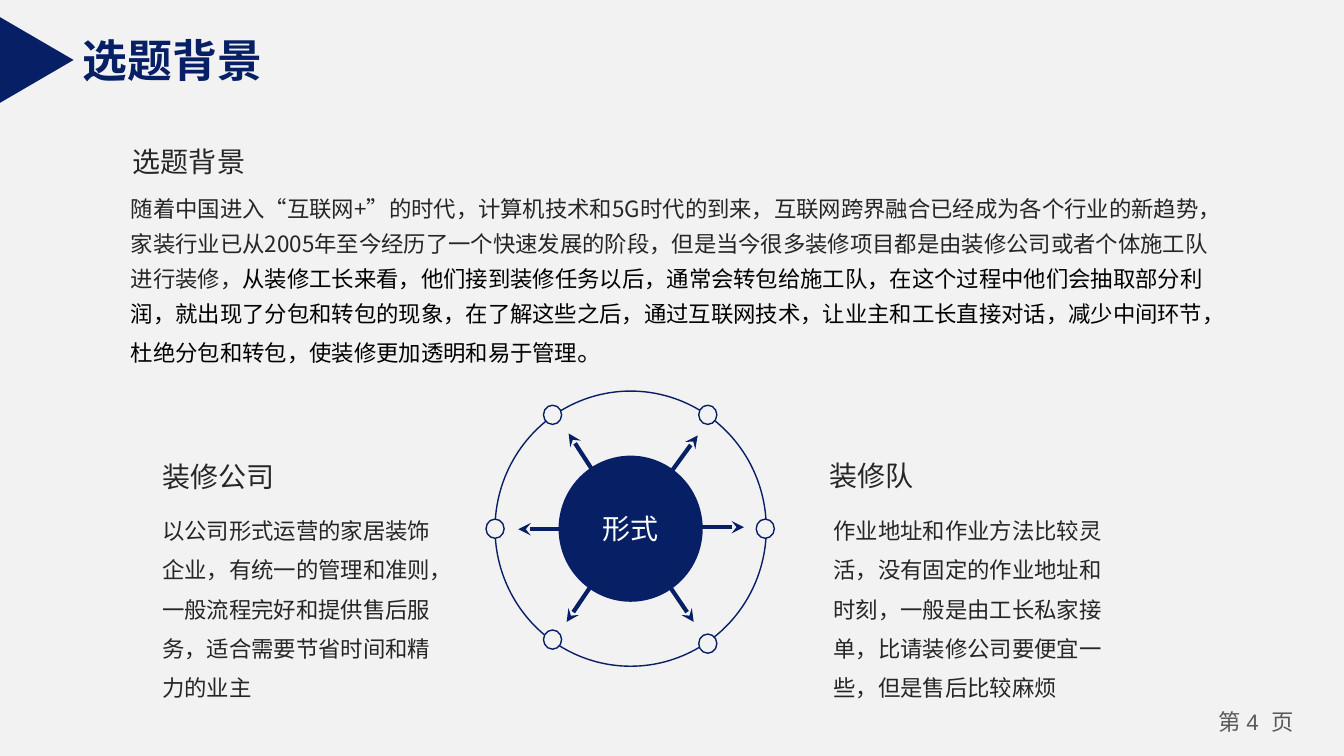
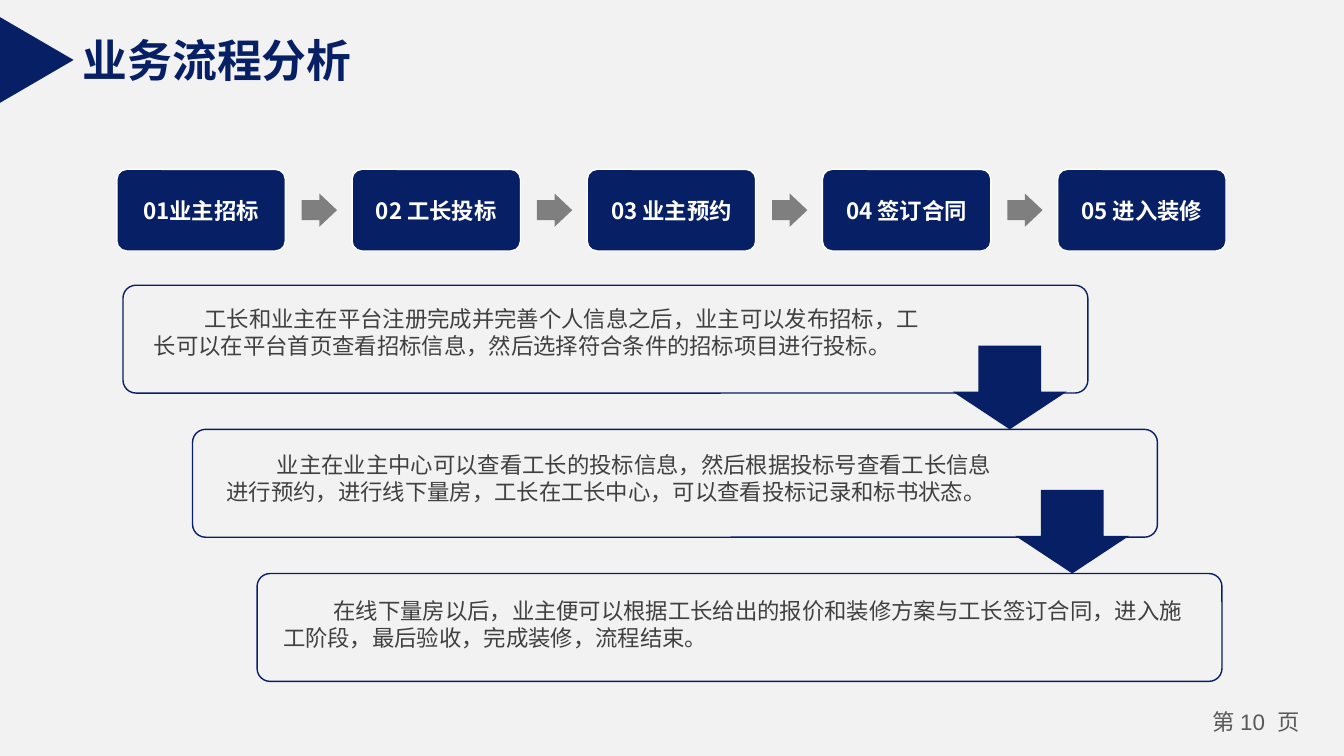
from pptx import Presentation, util as u
from pptx.dml.color import RGBColor
from pptx.enum import shapes, text
from pptx.oxml import ns
from lxml import etree

NAVY, PAPER, WHITE, GRAY = "071F65", "F2F2F2", "FFFFFF", "7F7F7F"
BLACK, DARK, SOFT, MUTED = "000000", "262626", "404040", "595959"
SANS, SERIF, LATIN = "Noto Sans CJK SC", "Times New Roman", "Arial"
SHAPE, ALIGN, ANCHOR = shapes.MSO_SHAPE, text.PP_ALIGN, text.MSO_ANCHOR
INSET = (0.1, 0.05, 0.1, 0.05)


def color(value):
    return RGBColor.from_string(value)


def inches(*values):
    return [u.Inches(value) for value in values]


def set_frame(frame, insets=INSET, anchor=ANCHOR.TOP, wrap=True):
    left, top, right, bottom = inches(*insets)
    values = {"margin_left": left, "margin_top": top, "margin_right": right,
              "margin_bottom": bottom, "vertical_anchor": anchor,
              "auto_size": text.MSO_AUTO_SIZE.NONE, "word_wrap": wrap}
    for name, value in values.items():
        setattr(frame, name, value)


def write(frame, spans, align=ALIGN.LEFT, spacing=None, indent=0):
    para = frame.paragraphs[0]
    for name, value in {"alignment": align, "line_spacing": spacing}.items():
        setattr(para, name, value)
    if indent:
        properties = para._p.get_or_add_pPr()
        properties.set("marL", "0")
        properties.set("indent", str(u.Inches(indent)))
    for words, size, tint, face, bold in spans:
        span = para.add_run()
        span.text = words
        for name, value in {"size": u.Pt(size), "name": face, "bold": bold}.items():
            setattr(span.font, name, value)
        span.font.color.rgb = color(tint)
        etree.SubElement(span._r.get_or_add_rPr(), ns.qn("a:ea"), typeface=SANS)


def span_of(words, size=16, tint=DARK, face=SANS, bold=False):
    return words, size, tint, face, bold


def add_text(page, area, spans, **layout):
    box = page.shapes.add_textbox(*inches(*area))
    set_frame(box.text_frame)
    write(box.text_frame, spans, **layout)


def add_shape(page, kind, area, fill=None, line=None, adjust=()):
    shape = page.shapes.add_shape(kind, *inches(*area))
    shape.shadow.inherit = False
    for index, value in enumerate(adjust):
        shape.adjustments[index] = value
    if fill:
        shape.fill.solid()
        shape.fill.fore_color.rgb = color(fill)
    else:
        shape.fill.background()
    if line:
        shape.line.color.rgb = color(line)
        shape.line.width = u.Pt(1)
    else:
        shape.line.fill.background()
    return shape


def add_arrow(page, start, end):
    arrow = page.shapes.add_connector(shapes.MSO_CONNECTOR.STRAIGHT, *inches(*start, *end))
    arrow.line.color.rgb = color(NAVY)
    arrow.line.width = u.Pt(3)
    etree.SubElement(arrow.line._get_or_add_ln(), ns.qn("a:tailEnd"), type="stealth")
    etree.SubElement(arrow._element.spPr, ns.qn("a:effectLst"))


def add_page(deck, heading, number, face=SANS):
    page = deck.slides.add_slide(deck.slide_layouts.get_by_name("Title Only"))
    title = page.shapes.title
    names = ("left", "top", "width", "height")
    for name, value in zip(names, inches(0.69, 0.26, 8, 0.67)):
        setattr(title, name, value)
    set_frame(title.text_frame, (0.13, 0.07, 0.13, 0.07), ANCHOR.MIDDLE)
    write(title.text_frame, [span_of(heading, 32, NAVY, face, True)])
    add_shape(page, SHAPE.ISOSCELES_TRIANGLE, (-0.06, 0.23, 0.85, 0.73), NAVY).rotation = 90
    add_text(page, (11.86, 6.98, 1.2, 0.4),
             [span_of("第 ", tint=MUTED), span_of(f"{number}  ", tint=MUTED, face=LATIN),
              span_of("页", tint=MUTED)], align=ALIGN.CENTER)
    return page


def add_hub(page, words):
    x, y = 6.25, 5.24
    spokes = [((0.77, -1.13), (0.67, -0.92)), ((-0.77, -1.13), (-0.61, -0.94)),
              ((-1.34, 0), (-1.11, 0.01)), ((1.34, 0), (1.13, -0.01)),
              ((0.77, 1.14), (0.63, 0.93)), ((-0.77, 1.1), (-0.63, 0.93))]
    add_shape(page, SHAPE.OVAL, (4.91, 3.88, 2.69, 2.73), line=NAVY)
    for dot, tip in spokes:
        area = (x + dot[0] - 0.09, y + dot[1] - 0.09, 0.18, 0.19)
        add_shape(page, SHAPE.OVAL, area, PAPER, NAVY)
        add_arrow(page, (x, y + tip[1] if abs(tip[1]) < 0.1 else y),
                  (x + tip[0], y + tip[1]))
    hub = add_shape(page, SHAPE.OVAL, (5.54, 4.52, 1.43, 1.45), NAVY)
    set_frame(hub.text_frame, anchor=ANCHOR.MIDDLE)
    write(hub.text_frame, [span_of(words, 20, WHITE)], ALIGN.CENTER)


def add_heading(page, left, top, words):
    add_text(page, (left, top, 1.6, 0.44), [span_of(words, 20)])


def add_steps(page, steps):
    pitch = (10.49 - 1.16) / (len(steps) - 1)
    for index, words in enumerate(steps):
        left = 1.16 + pitch * index
        if index:
            add_shape(page, SHAPE.RIGHT_ARROW, (left - 0.5, 1.92, 0.35, 0.33), GRAY,
                      adjust=(0.6, 0.53))
        card = add_shape(page, SHAPE.ROUNDED_RECTANGLE, (left, 1.68, 1.67, 0.81),
                         NAVY, WHITE, (0.12,))
        set_frame(card.text_frame, anchor=ANCHOR.MIDDLE)
        write(card.text_frame, [span_of(words, tint=WHITE, bold=True)], ALIGN.CENTER)


def add_cascade(page, panels):
    for index, (left, insets, words) in enumerate(panels):
        panel = add_shape(page, SHAPE.ROUNDED_RECTANGLE, (left, 2.83 + 1.43 * index, 9.57, 1.07),
                          PAPER, NAVY, (0.12,))
        set_frame(panel.text_frame, insets)
        write(panel.text_frame, [span_of(words, tint=SOFT)], indent=0.5)
    for index in range(len(panels) - 1):
        add_shape(page, SHAPE.DOWN_ARROW, (9.45 + 0.62 * index, 3.43 + 1.43 * index, 1.13, 0.83),
                  NAVY, adjust=(0.55, 0.45))


def build_background(deck):
    page = add_page(deck, "选题背景", 4)
    add_hub(page, "形式")
    add_heading(page, 1.22, 1.38, "选题背景")
    add_text(page, (1.2, 1.81, 10.93, 1.85), [
        span_of("随着中国进入“互联网+”的时代，计算机技术和5G时代的到来，互联网跨界融合已经成为各个行业的新趋势，"
                "家装行业已从2005年至今经历了一个快速发展的阶段，但是当今很多装修项目都是由装修公司或者个体施工队进行装修，"),
        span_of("从装修工长来看，他们接到装修任务以后，通常会转包给施工队，在这个过程中他们会抽取部分利润，"
                "就出现了分包和转包的现象，在了解这些之后，通过互联网技术，让业主和工长直接对话，减少中间环节，"
                "杜绝分包和转包，使装修更加透明和易于管理", tint=BLACK, face=SERIF),
        span_of("。", 18, BLACK, SERIF)], spacing=1.3)
    columns = [
        (1.51, 1.51, 4.51, "装修公司",
         "以公司形式运营的家居装饰企业，有统一的管理和准则，一般流程完好和提供售后服务，适合需要节省时间和精力的业主"),
        (8.13, 8.17, 4.5, "装修队",
         "作业地址和作业方法比较灵活，没有固定的作业地址和时刻，一般是由工长私家接单，比请装修公司要便宜一些，但是售后比较麻烦")]
    for heading_left, left, top, heading, words in columns:
        add_heading(page, heading_left, top, heading)
        add_text(page, (left, 4.96, 2.99, 2.02), [span_of(words)], spacing=u.Pt(28))


def build_process(deck):
    page = add_page(deck, "业务流程分析", 10, LATIN)
    add_steps(page, ["01业主招标", "02 工长投标", "03 业主预约", "04 签订合同", "05 进入装修"])
    add_cascade(page, [
        (1.22, (0.27, 0.16, 1.58, 0.05),
         "工长和业主在平台注册完成并完善个人信息之后，业主可以发布招标，工长可以在平台首页查看招标信息，"
         "然后选择符合条件的招标项目进行投标。"),
        (1.91, (0.3, 0.18, 1.58, 0.05),
         "业主在业主中心可以查看工长的投标信息，然后根据投标号查看工长信息进行预约，进行线下量房，"
         "工长在工长中心，可以查看投标记录和标书状态。"),
        (2.55, (0.22, 0.2, 0.26, 0.05),
         "在线下量房以后，业主便可以根据工长给出的报价和装修方案与工长签订合同，进入施工阶段，"
         "最后验收，完成装修，流程结束。")])


def main():
    deck = Presentation()
    deck.slide_width, deck.slide_height = inches(13.33, 7.5)
    backdrop = deck.slide_master.background.fill
    backdrop.solid()
    backdrop.fore_color.rgb = color(PAPER)
    build_background(deck)
    build_process(deck)
    deck.save("out.pptx")


if __name__ == "__main__":
    main()
